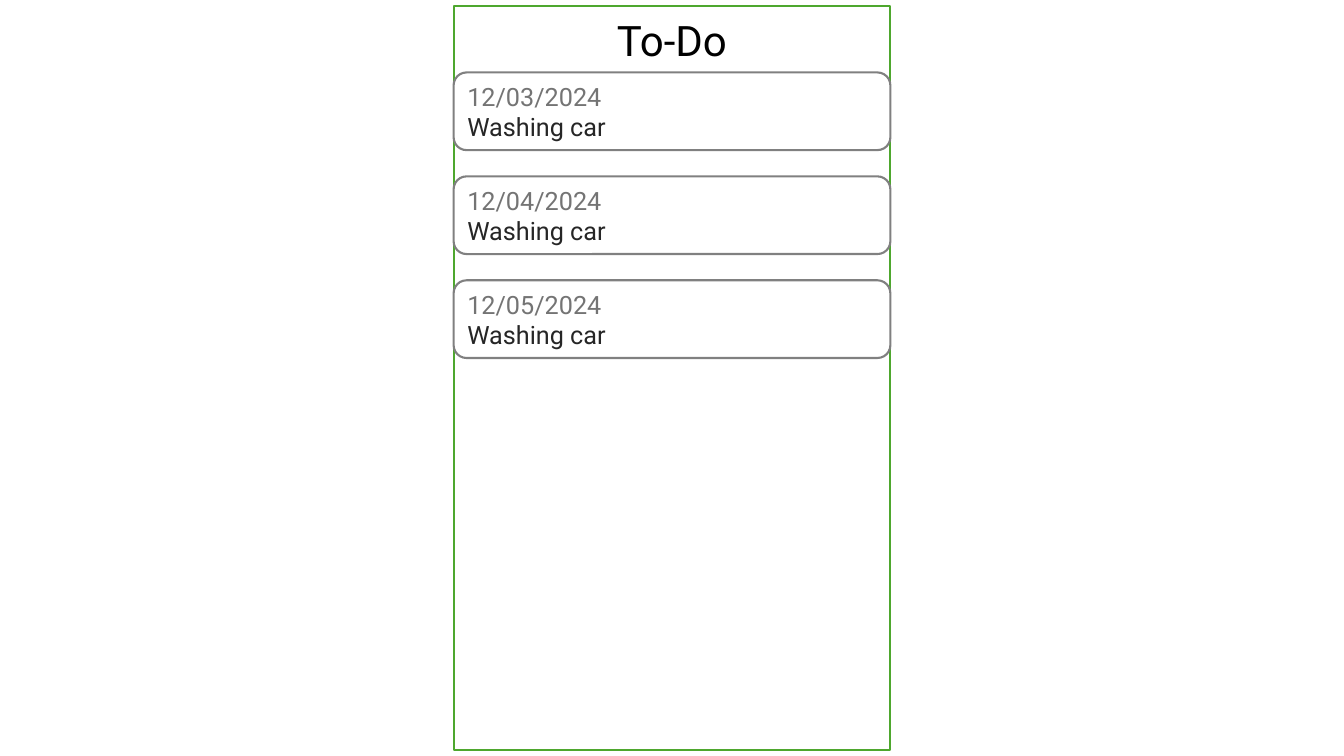
from dataclasses import dataclass

import pptx
import pptx.dml.color
import pptx.enum.shapes
import pptx.enum.text
import pptx.util

PX = 9525  # EMU per px, 96 px to the inch
FONT = "Roboto"
COLORS = {
    "white": "FFFFFF",
    "frame": "4EA72E",
    "card": "808080",
    "title": "000000",
    "date": "747474",
    "task": "262626",
}
SHAPES = pptx.enum.shapes.MSO_SHAPE
ALIGN = pptx.enum.text.PP_ALIGN
ANCHOR = pptx.enum.text.MSO_ANCHOR


@dataclass
class Box:
    left: int
    top: int
    width: int
    height: int

    def emu(self) -> list[int]:
        return [v * PX for v in (self.left, self.top, self.width, self.height)]


@dataclass
class Task:
    date: str
    name: str


FRAME = Box(432, 6, 416, 708)
TITLE = Box(544, 9, 192, 58)
CARD_TOP, CARD_HEIGHT, CARD_STEP = 69, 74, 99
TASKS = [
    Task("12/03/2024", "Washing car"),
    Task("12/04/2024", "Washing car"),
    Task("12/05/2024", "Washing car"),
]


def rgb(name: str) -> pptx.dml.color.RGBColor:
    return pptx.dml.color.RGBColor.from_string(COLORS[name])


def set_format(target, values: dict) -> None:
    for name, value in values.items():
        setattr(target, name, value)


def add_outline(s, kind, box: Box, line: str):
    sp = s.shapes.add_shape(kind, *box.emu())
    sp.shadow.inherit = False
    sp.fill.solid()
    sp.fill.fore_color.rgb = rgb("white")
    sp.line.color.rgb = rgb(line)
    sp.line.width = pptx.util.Pt(1.5)
    return sp


def write(p, text: str, size: int, color: str, align) -> None:
    p.alignment = align
    r = p.add_run()
    r.text = text
    set_format(r.font, {"name": FONT, "size": pptx.util.Pt(size)})
    r.font.color.rgb = rgb(color)


def add_title(s, text: str) -> None:
    sp = s.shapes.title
    set_format(sp, dict(zip(("left", "top", "width", "height"), TITLE.emu())))
    tf = sp.text_frame
    set_format(tf, {
        "word_wrap": False,
        "auto_size": pptx.enum.text.MSO_AUTO_SIZE.SHAPE_TO_FIT_TEXT,
        "vertical_anchor": ANCHOR.TOP,
    })
    p = tf.paragraphs[0]
    p.line_spacing = 1.0
    write(p, text, 30, "title", ALIGN.CENTER)


def add_card(s, box: Box, task: Task) -> None:
    sp = add_outline(s, SHAPES.ROUNDED_RECTANGLE, box, "card")
    tf = sp.text_frame
    set_format(tf, {"word_wrap": True, "vertical_anchor": ANCHOR.MIDDLE})
    write(tf.paragraphs[0], task.date, 18, "date", ALIGN.LEFT)
    write(tf.add_paragraph(), task.name, 18, "task", ALIGN.LEFT)


def main() -> None:
    prs = pptx.Presentation()
    set_format(prs, {"slide_width": 1280 * PX, "slide_height": 720 * PX})
    s = prs.slides.add_slide(prs.slide_layouts[5])

    # Frame, placed behind the title
    frame = add_outline(s, SHAPES.RECTANGLE, FRAME, "frame")
    s.shapes.title.element.addprevious(frame.element)

    # Heading
    add_title(s, "To-Do")

    # Task cards
    for i, task in enumerate(TASKS):
        top = CARD_TOP + i * CARD_STEP
        add_card(s, Box(FRAME.left, top, FRAME.width, CARD_HEIGHT), task)

    prs.save("out.pptx")


if __name__ == "__main__":
    main()
